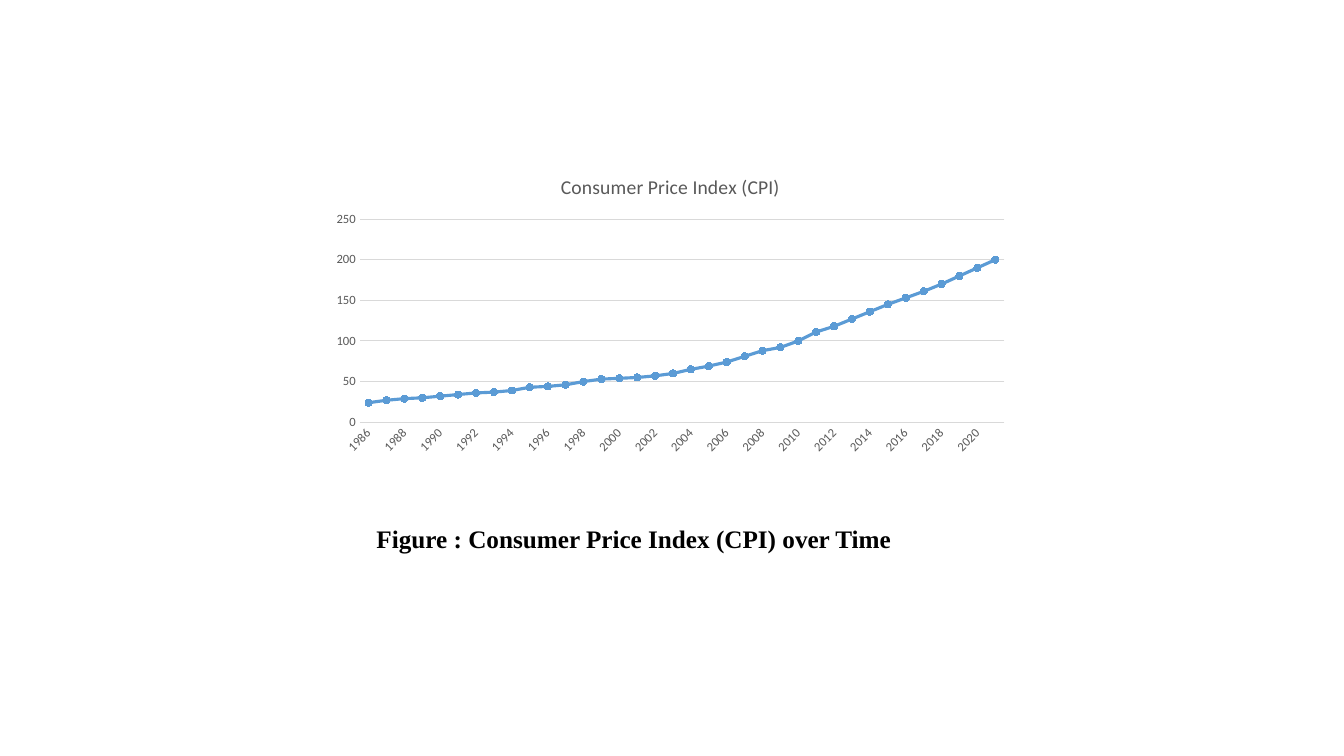
from dataclasses import dataclass

from pptx import Presentation
from pptx.chart.data import CategoryChartData
from pptx.dml.color import RGBColor
from pptx.enum import chart as kinds, text
from pptx.oxml import ns
from pptx.util import Cm, Pt


@dataclass(frozen=True)
class Theme:
    blue: str = "5B9BD5"
    gray: str = "595959"
    pale: str = "D9D9D9"
    black: str = "000000"
    sans: str = "Calibri"
    serif: str = "Times New Roman"
    tick: float = 9
    base: float = 10
    head: float = 14
    note: float = 18
    thin: float = 0.75
    thick: float = 2.25
    dot: int = 5


THEME = Theme()
NAME = "Consumer Price Index (CPI)"
START = 1986
INDEX = (24, 27, 29, 30, 32, 34, 36, 37, 39, 43, 44, 46,
         50, 53, 54, 55, 57, 60, 65, 69, 74, 81, 88, 92,
         100, 111, 118, 127, 136, 145, 153, 161, 170, 180, 190, 200)


def style(font, size, color, face=THEME.sans, bold=False):
    font.size = Pt(size)
    font.name = face
    font.bold = bold
    font.color.rgb = RGBColor.from_string(color)


def write(frame, words, align=text.PP_ALIGN.CENTER, space=None, after=None, **form):
    para = frame.paragraphs[0]
    para.alignment = align
    para.line_spacing = space
    para.space_after = after
    run = para.add_run()
    run.text = words
    style(run.font, **form)


def stroke(line, color, width):
    line.color.rgb = RGBColor.from_string(color)
    line.width = Pt(width)


def paint(fill, color):
    fill.solid()
    fill.fore_color.rgb = RGBColor.from_string(color)


def set_axis(axis):
    axis.major_tick_mark = kinds.XL_TICK_MARK.NONE
    axis.minor_tick_mark = kinds.XL_TICK_MARK.NONE
    style(axis.tick_labels.font, THEME.tick, THEME.gray)


def set_axes(chart):
    years, scale = chart.category_axis, chart.value_axis
    set_axis(years)
    set_axis(scale)
    stroke(years.format.line, THEME.pale, THEME.thin)
    body = years._element.find(ns.qn("c:txPr")).find(ns.qn("a:bodyPr"))
    body.set("rot", "-2700000")
    scale.minimum_scale, scale.maximum_scale = 0, 250
    scale.major_unit = 50
    scale.format.line.fill.background()
    scale.has_major_gridlines = True
    stroke(scale.major_gridlines.format.line, THEME.pale, THEME.thin)


def set_trend(series):
    series.smooth = False
    stroke(series.format.line, THEME.blue, THEME.thick)
    mark = series.marker
    mark.style = kinds.XL_MARKER_STYLE.CIRCLE
    mark.size = THEME.dot
    paint(mark.format.fill, THEME.blue)
    stroke(mark.format.line, THEME.blue, THEME.thin)


def add_graph(slide, left, top, width, height):
    data = CategoryChartData()
    data.categories = [str(START + step) for step in range(len(INDEX))]
    data.add_series(NAME, INDEX)
    chart = slide.shapes.add_chart(
        kinds.XL_CHART_TYPE.LINE_MARKERS, left, top, width, height, data).chart
    style(chart.font, THEME.base, THEME.black)
    chart.has_legend = False
    chart.has_title = True
    chart.chart_title.include_in_layout = False
    write(chart.chart_title.text_frame, NAME, size=THEME.head, color=THEME.gray)
    chart.plots[0].vary_by_categories = False
    set_axes(chart)
    set_trend(chart.plots[0].series[0])


def add_note(slide, words, left, top, width, height):
    frame = slide.shapes.add_textbox(left, top, width, height).text_frame
    frame.word_wrap = False
    frame.auto_size = text.MSO_AUTO_SIZE.SHAPE_TO_FIT_TEXT
    write(frame, words, space=1.5, after=Pt(10), size=THEME.note,
          color=THEME.black, face=THEME.serif, bold=True)


def main():
    deck = Presentation()
    deck.slide_width, deck.slide_height = Cm(33.87), Cm(19.05)
    slide = deck.slides.add_slide(deck.slide_layouts[6])
    add_graph(slide, Cm(8.13), Cm(3.99), Cm(17.53), Cm(7.62))
    add_note(slide, "Figure : Consumer Price Index (CPI) over Time",
             Cm(9.17), Cm(12.67), Cm(13.61), Cm(1.27))
    deck.save("out.pptx")


if __name__ == "__main__":
    main()
